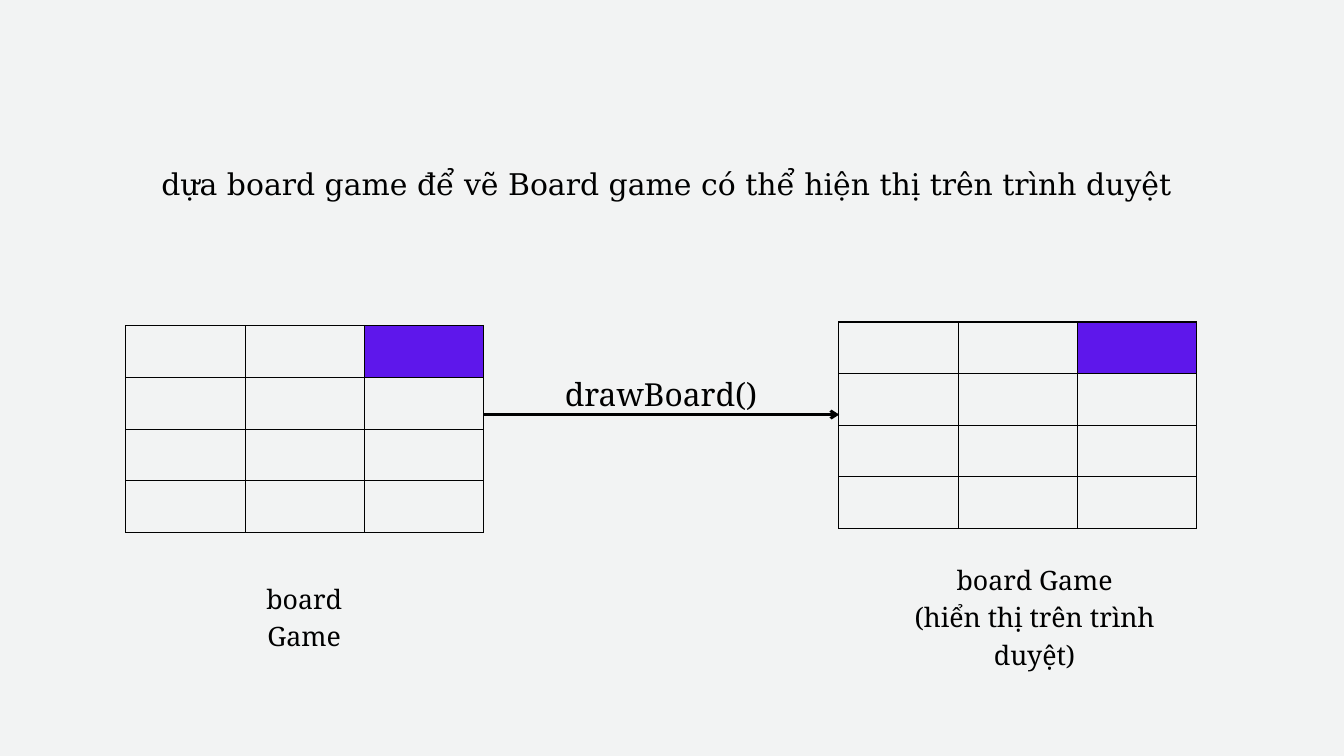
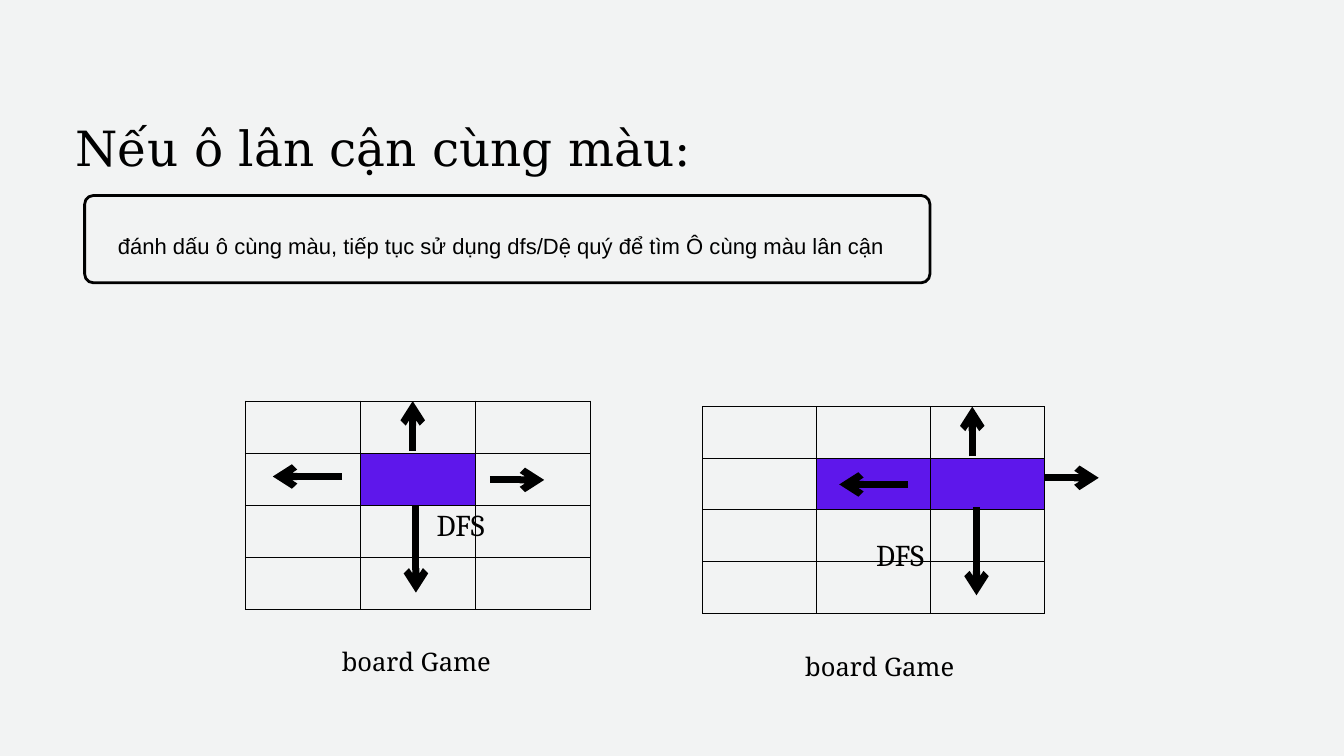
from dataclasses import dataclass

from lxml.etree import SubElement
from pptx import Presentation
from pptx.dml.color import RGBColor
from pptx.enum.shapes import MSO_CONNECTOR, MSO_SHAPE
from pptx.enum.text import MSO_ANCHOR as Anchor, MSO_AUTO_SIZE as AutoSize, PP_ALIGN as Align
from pptx.oxml.ns import qn
from pptx.util import Cm, Pt

PAPER = RGBColor(0xF2, 0xF3, 0xF3)
INK = RGBColor(0x00, 0x00, 0x00)
VIOLET = RGBColor(0x5E, 0x17, 0xEB)

ROWS, COLS = 4, 3
TITLE_ONLY = 5


@dataclass(frozen=True)
class Box:
    x: float
    y: float
    w: float
    h: float

    def lengths(self) -> tuple:
        return Cm(self.x), Cm(self.y), Cm(self.w), Cm(self.h)


@dataclass(frozen=True)
class Style:
    font: str
    size: float
    leading: float
    align: Align = Align.CENTER


@dataclass(frozen=True)
class Board:
    box: Box
    border: float
    marked: tuple


@dataclass(frozen=True)
class Arrow:
    x1: float
    y1: float
    x2: float
    y2: float
    width: float = 7.5


@dataclass(frozen=True)
class Label:
    box: Box
    style: Style
    lines: tuple


STATEMENT = Style("DejaVu Serif", 32, 46.2)
HEADING = Style("DejaVu Serif", 52, 72.8, Align.LEFT)
CAPTION = Style("Noto Serif", 28.6, 40)
SMALL_CAPTION = Style("Noto Serif", 27.3, 38.2)
FUNCTION = Style("Noto Serif", 34, 47.6)
SEARCH = Style("Cambria", 32.4, 45.4)
NOTE = Style("Arial", 23.6, 33.1)

DRAWING = (
    Board(Box(4.75, 12.32, 13.54, 7.8), 1.33, ((0, 2),)),
    Label(Box(8.56, 21.82, 5.87, 1.37), CAPTION, ("board Game",)),
    Label(Box(32.97, 21.11, 12.27, 2.77), CAPTION,
          ("board Game", "(hiển thị trên trình duyệt)")),
    Arrow(18.26, 15.67, 31.72, 15.67, 3),
    Label(Box(21.34, 13.94, 7.29, 3.28), FUNCTION, ("drawBoard()",)),
    Board(Box(31.7, 12.17, 13.54, 7.8), 1.33, ((0, 2),)),
)

NEIGHBOURS = (
    Board(Box(9.27, 15.16, 13.06, 7.87), 1.21, ((1, 1),)),
    Arrow(18.52, 18.14, 20.57, 18.14),
    Arrow(15.6, 17.04, 15.6, 15.16),
    Arrow(12.93, 18.01, 10.31, 18.01),
    Arrow(15.72, 19.08, 15.72, 22.4),
    Board(Box(26.57, 15.37, 12.93, 7.8), 1.21, ((1, 1), (1, 2))),
    Arrow(39.47, 18.06, 41.53, 18.06),
    Arrow(36.75, 17.25, 36.75, 15.37),
    Arrow(34.32, 18.31, 31.72, 18.31),
    Arrow(36.91, 19.18, 36.91, 22.5),
    Label(Box(11.66, 24.23, 8.15, 1.37), SMALL_CAPTION, ("board Game",)),
    Label(Box(16.28, 18.9, 2.26, 1.55), SEARCH, ("DFS",)),
    Label(Box(29.21, 24.41, 8.08, 1.37), SMALL_CAPTION, ("board Game",)),
    Label(Box(32.89, 20.04, 2.26, 1.55), SEARCH, ("DFS",)),
)


def write(tf, lines: tuple, style: Style, anchor=Anchor.TOP, insets=(0, 0, 0, 0)) -> None:
    tf.word_wrap = True
    tf.auto_size = AutoSize.NONE
    tf.vertical_anchor = anchor
    tf.margin_left, tf.margin_top, tf.margin_right, tf.margin_bottom = map(Cm, insets)
    for i, line in enumerate(lines):
        p = tf.add_paragraph() if i else tf.paragraphs[0]
        p.alignment = style.align
        p.line_spacing = Pt(style.leading)
        r = p.add_run()
        r.text = line
        r.font.name = style.font
        r.font.size = Pt(style.size)
        r.font.color.rgb = INK


def add_label(s, label: Label) -> None:
    sp = s.shapes.add_textbox(*label.box.lengths())
    write(sp.text_frame, label.lines, label.style)


def add_borders(cell, width: float) -> None:
    tc_pr = cell._tc.get_or_add_tcPr()
    for side in ("lnL", "lnR", "lnT", "lnB"):
        ln = SubElement(tc_pr, qn(f"a:{side}"), w=str(Pt(width)))
        fill = SubElement(ln, qn("a:solidFill"))
        SubElement(fill, qn("a:srgbClr"), val=str(INK))


def add_board(s, board: Board) -> None:
    table = s.shapes.add_table(ROWS, COLS, *board.box.lengths()).table
    table.first_row = table.horz_banding = False
    for col in table.columns:
        col.width = Cm(board.box.w / COLS)
    for i, row in enumerate(table.rows):
        row.height = Cm(board.box.h / ROWS)
        for j, cell in enumerate(row.cells):
            add_borders(cell, board.border)
            if (i, j) in board.marked:
                cell.fill.solid()
                cell.fill.fore_color.rgb = VIOLET
            else:
                cell.fill.background()


def add_arrow(s, arrow: Arrow) -> None:
    ends = map(Cm, (arrow.x1, arrow.y1, arrow.x2, arrow.y2))
    line = s.shapes.add_connector(MSO_CONNECTOR.STRAIGHT, *ends)
    line.line.color.rgb = INK
    line.line.width = Pt(arrow.width)
    SubElement(line.line._get_or_add_ln(), qn("a:tailEnd"), type="arrow")
    SubElement(line._element.spPr, qn("a:effectLst"))


def add_note(s, box: Box, text: str) -> None:
    sp = s.shapes.add_shape(MSO_SHAPE.ROUNDED_RECTANGLE, *box.lengths())
    sp.adjustments[0] = 0.1
    sp.shadow.inherit = False
    sp.fill.background()
    sp.line.color.rgb = INK
    sp.line.width = Pt(3)
    write(sp.text_frame, (text,), NOTE, Anchor.MIDDLE, (0, 0.3, 0.46, 0))


DRAW = {Board: add_board, Arrow: add_arrow, Label: add_label}


def add_slide(prs, title: Label, parts: tuple):
    s = prs.slides.add_slide(prs.slide_layouts[TITLE_ONLY])
    sp = s.shapes.title
    sp.left, sp.top, sp.width, sp.height = title.box.lengths()
    write(sp.text_frame, title.lines, title.style)
    for part in parts:
        DRAW[type(part)](s, part)
    return s


def main() -> None:
    prs = Presentation()
    prs.slide_width = Cm(50.8)
    prs.slide_height = prs.slide_width * 9 // 16
    background = prs.slide_master.background.fill
    background.solid()
    background.fore_color.rgb = PAPER

    add_slide(prs, Label(Box(3.3, 5.97, 43.82, 1.65), STATEMENT,
                         ("dựa board game để vẽ Board game có thể hiện thị trên trình duyệt",)),
              DRAWING)
    s = add_slide(prs, Label(Box(2.84, 4.11, 33.66, 2.59), HEADING,
                             ("Nếu ô lân cận cùng màu:",)),
                  NEIGHBOURS)
    add_note(s, Box(3.2, 7.39, 31.95, 3.3),
             "đánh dấu ô cùng màu, tiếp tục sử dụng dfs/Dệ quý để tìm Ô cùng màu lân cận")
    prs.save("out.pptx")


if __name__ == "__main__":
    main()
